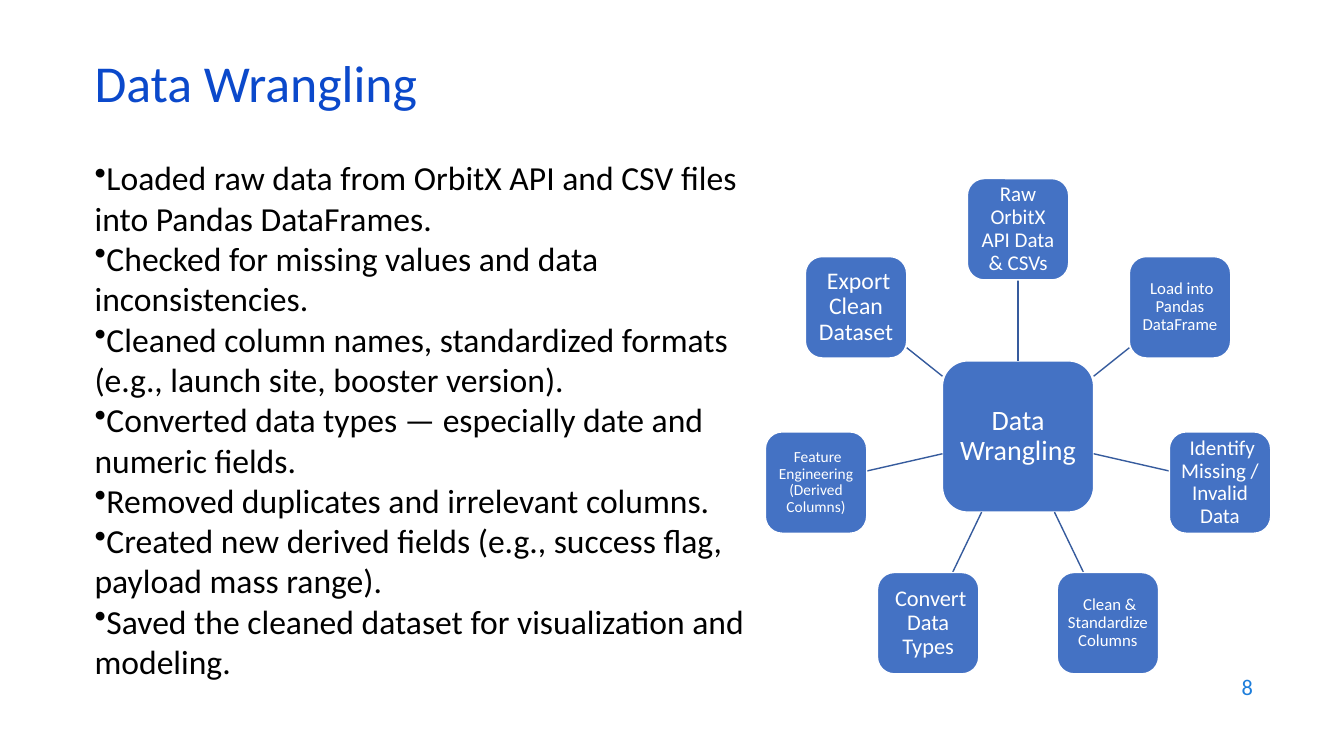
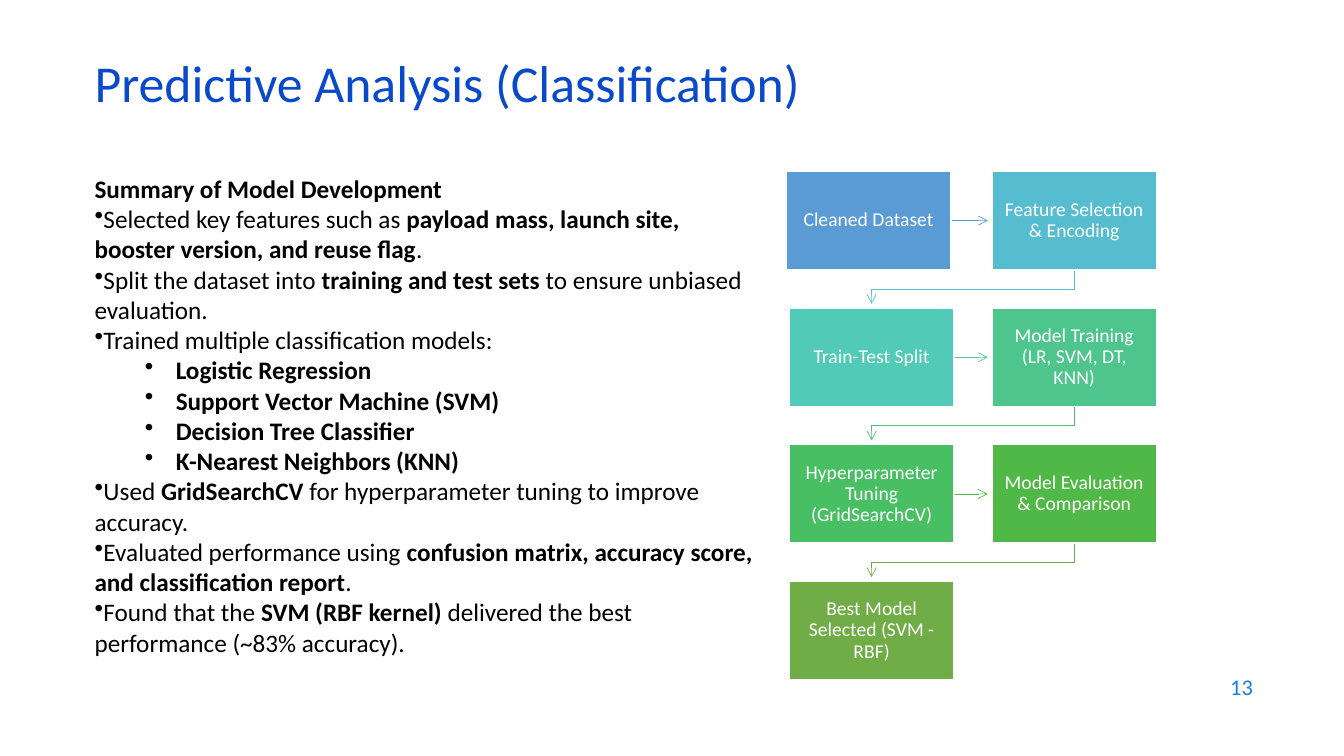
from dataclasses import dataclass
from math import cos, pi, sin
from typing import Any

from lxml import etree
from pptx import Presentation
from pptx import util as u
from pptx.dml.color import RGBColor
from pptx.enum import shapes, text
from pptx.oxml import ns

FONT = "Calibri"
BLACK, WHITE = "000000", "FFFFFF"
TITLE_BLUE, NUMBER_BLUE = "0B49CB", "1C7DDB"
NODE_BLUE, SPOKE_BLUE = "4472C4", "365B9D"
LEFT, CENTER, RIGHT = text.PP_ALIGN.LEFT, text.PP_ALIGN.CENTER, text.PP_ALIGN.RIGHT
TOP, MIDDLE = text.MSO_ANCHOR.TOP, text.MSO_ANCHOR.MIDDLE
RECTANGLE = shapes.MSO_SHAPE.RECTANGLE
ROUNDED = shapes.MSO_SHAPE.ROUNDED_RECTANGLE

WRANGLING_STEPS = [
    "•Loaded raw data from OrbitX API and CSV files into Pandas DataFrames.",
    "•Checked for missing values and data inconsistencies.",
    "•Cleaned column names, standardized formats (e.g., launch site, booster version).",
    "•Converted data types — especially date and numeric fields.",
    "•Removed duplicates and irrelevant columns.",
    "•Created new derived fields (e.g., success flag, payload mass range).",
    "•Saved the cleaned dataset for visualization and modeling.",
]
WHEEL_NODES = [
    ("Raw OrbitX API Data & CSVs", 15),
    (" Load into Pandas DataFrame", 12),
    (" Identify Missing / Invalid Data", 15),
    (" Clean & Standardize Columns", 12),
    (" Convert Data Types", 16),
    (" Feature Engineering (Derived Columns)", 11),
    (" Export Clean Dataset", 17),
]
MODEL_SUMMARY = [
    "**Summary of Model Development**",
    "•Selected key features such as **payload mass, launch site, booster version, and reuse flag**.",
    "•Split the dataset into **training and test sets** to ensure unbiased evaluation.",
    "•Trained multiple classification models:",
    "-**Logistic Regression**",
    "-**Support Vector Machine (SVM)**",
    "-**Decision Tree Classifier**",
    "-**K-Nearest Neighbors (KNN)**",
    "•Used **GridSearchCV** for hyperparameter tuning to improve accuracy.",
    "•Evaluated performance using **confusion matrix, accuracy score, and classification report**.",
    "•Found that the **SVM (RBF kernel)** delivered the best performance (~83% accuracy).",
]
FLOW_STEPS = [
    ("Cleaned Dataset", "5B9BD5", "5B9BD5"),
    ("Feature Selection & Encoding", "56BCD0", "55C3CF"),
    ("Train-Test Split", "52CAB8", "50C8A7"),
    ("Model Training (LR, SVM, DT, KNN)", "4DC58D", "4BC174"),
    ("Hyperparameter Tuning (GridSearchCV)", "49BF64", "4ABA46"),
    ("Model Evaluation & Comparison", "50B846", "70AD47"),
    ("Best Model Selected (SVM - RBF)", "70AD47", None),
]


def color(value):
    """Turn a hex string into a colour."""
    return RGBColor.from_string(value)


def add_bullet(paragraph, margin=0, indent=0):
    """Give a paragraph a round bullet."""
    properties = paragraph._p.get_or_add_pPr()
    properties.set("marL", str(u.Pt(margin)))
    properties.set("indent", str(u.Pt(indent)))
    etree.SubElement(properties, ns.qn("a:buChar"), char="•")


def write(frame, lines, size=18, fill=BLACK, align=LEFT, anchor=TOP, spacing=None, inset=None):
    """Write lines; • and - mark two bullet levels, ** marks bold."""
    frame.word_wrap = True
    frame.vertical_anchor = anchor
    if inset is not None:
        frame.margin_left = frame.margin_right = u.Pt(inset)
        frame.margin_top = frame.margin_bottom = u.Pt(inset)
    for index, line in enumerate(lines):
        paragraph = frame.add_paragraph() if index else frame.paragraphs[0]
        paragraph.alignment = align
        if spacing:
            paragraph.line_spacing = spacing
        if line.startswith("•"):
            add_bullet(paragraph)
        elif line.startswith("-"):
            add_bullet(paragraph, 58, -22)
        for part, content in enumerate(line.lstrip("•-").split("**")):
            if content:
                run = paragraph.add_run()
                run.text = content
                run.font.name = FONT
                run.font.size = u.Pt(size)
                run.font.bold = part % 2 == 1
                run.font.color.rgb = color(fill)


@dataclass
class Deck:
    """Holds the presentation, its shared style and the current slide."""

    presentation: Any
    slide: Any = None

    def start(self, title, number):
        """Add a slide with its title and number."""
        self.slide = self.presentation.slides.add_slide(self.presentation.slide_layouts[6])
        self.text_box(60.5, 42.5, 828, 43, [title], size=37, fill=TITLE_BLUE, anchor=MIDDLE, spacing=0.7)
        self.text_box(686, 474.5, 216, 32, [str(number)], size=16, fill=NUMBER_BLUE, align=RIGHT, anchor=MIDDLE)

    def text_box(self, left, top, width, height, lines, **style):
        """Add a text box."""
        box = self.slide.shapes.add_textbox(u.Pt(left), u.Pt(top), u.Pt(width), u.Pt(height))
        write(box.text_frame, lines, **style)

    def node(self, kind, left, top, width, height, label, fill, size, inset):
        """Add a filled shape with a centred label."""
        shape = self.slide.shapes.add_shape(kind, u.Pt(left), u.Pt(top), u.Pt(width), u.Pt(height))
        shape.shadow.inherit = False
        shape.fill.solid()
        shape.fill.fore_color.rgb = color(fill)
        shape.line.color.rgb = color(WHITE)
        shape.line.width = u.Pt(1)
        write(shape.text_frame, [label], size=size, fill=WHITE, align=CENTER,
              anchor=MIDDLE, spacing=0.9, inset=inset)

    def line(self, points, stroke, width, arrow=False):
        """Add a connector through two points, or an open outline through more."""
        corners = [(u.Pt(x), u.Pt(y)) for x, y in points]
        if len(corners) == 2:
            shape = self.slide.shapes.add_connector(shapes.MSO_CONNECTOR.STRAIGHT, *corners[0], *corners[1])
            etree.SubElement(shape._element.spPr, ns.qn("a:effectLst"))
        else:
            builder = self.slide.shapes.build_freeform(*corners[0])
            builder.add_line_segments(corners[1:], close=False)
            shape = builder.convert_to_shape()
            shape.shadow.inherit = False
            shape.fill.background()
        shape.line.color.rgb = color(stroke)
        shape.line.width = u.Pt(width)
        if arrow:
            etree.SubElement(shape.line._get_or_add_ln(), ns.qn("a:tailEnd"), type="arrow")

    def wheel(self, x, y, radius, hub_size, node_size):
        """Draw a hub with evenly spread nodes and spokes."""
        self.node(ROUNDED, x - hub_size / 2, y - hub_size / 2, hub_size, hub_size,
                  "Data Wrangling", NODE_BLUE, 20, 4)
        for index, (label, size) in enumerate(WHEEL_NODES):
            angle = 2 * pi * index / len(WHEEL_NODES)
            across, down = sin(angle), -cos(angle)
            reach = 2 * max(abs(across), abs(down))
            ends = [hub_size / reach, radius - node_size / reach]
            self.line([(x + across * end, y + down * end) for end in ends], SPOKE_BLUE, 1)
            self.node(ROUNDED, x + across * radius - node_size / 2, y + down * radius - node_size / 2,
                      node_size, node_size, label, NODE_BLUE, size, size * 0.2)

    def flow(self, columns, top, pitch, width, height):
        """Draw steps in two columns, joined by arrows."""
        for index, (label, fill, stroke) in enumerate(FLOW_STEPS):
            row, column = divmod(index, 2)
            left = columns[column] - (0 if index else 2.2)
            y = top + row * pitch
            if stroke and column == 0:
                middle = y + height / 2
                self.line([(left + width, middle), (columns[1] - 3, middle)], stroke, 0.5, arrow=True)
            elif stroke:
                start, end = columns[1] + width / 2, columns[0] + width / 2
                bottom, bend = y + height, y + height + 13.7
                self.line([(start, bottom), (start, bend), (end, bend), (end, y + pitch - 3)],
                          stroke, 0.5, arrow=True)
            self.node(RECTANGLE, left, y, width, height, label, fill, 14, 7.9)


def main():
    """Build both slides and save them."""
    presentation = Presentation()
    presentation.slide_width, presentation.slide_height = u.Pt(960), u.Pt(540)
    deck = Deck(presentation)

    deck.start("Data Wrangling", 8)
    deck.text_box(60.5, 108.7, 499.7, 406.8, WRANGLING_STEPS, size=24)
    deck.wheel(727.2, 311.8, 148, 108, 72.4)

    deck.start("Predictive Analysis (Classification)", 13)
    deck.text_box(60.5, 120.2, 485.3, 356.4, MODEL_SUMMARY)
    deck.flow((563.8, 708.5), 122.4, 97.6, 117.6, 70.4)

    presentation.save("out.pptx")


if __name__ == "__main__":
    main()
